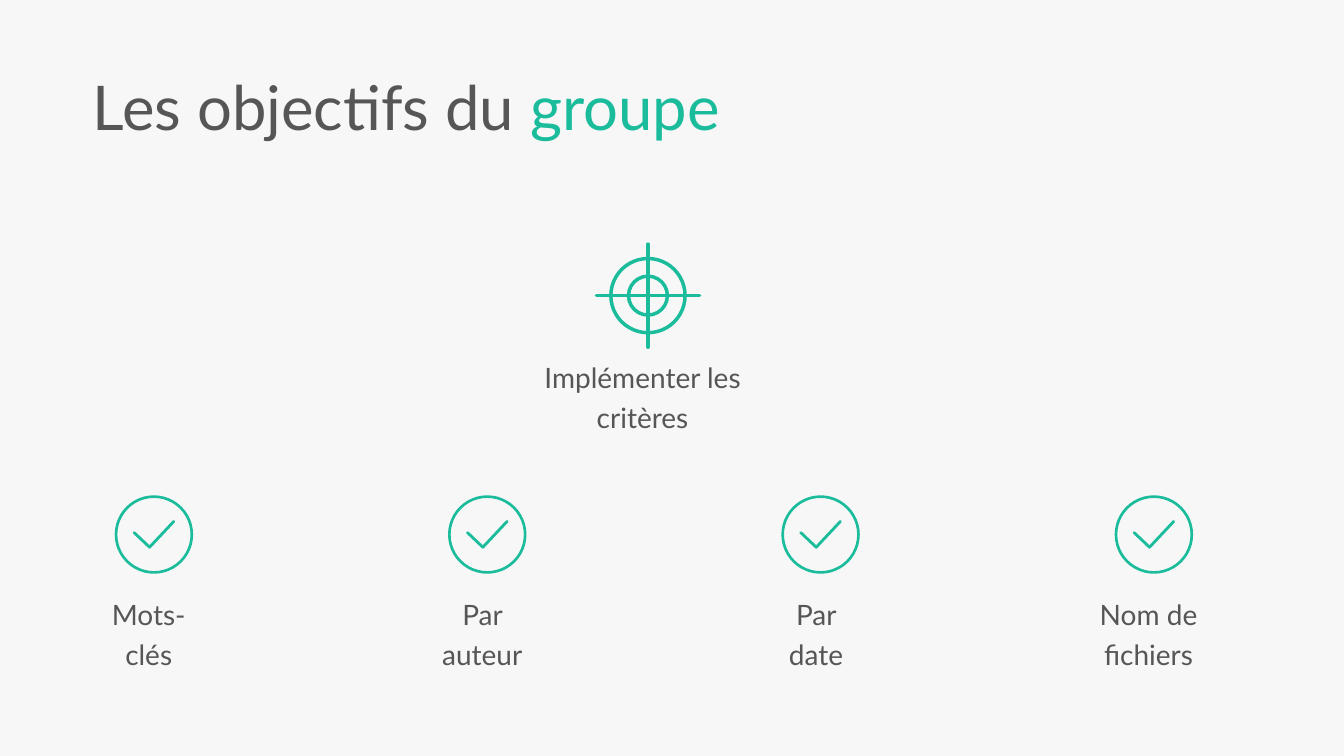
"""Build the slide of group objectives: one target above four checked criteria."""
from lxml.etree import SubElement
from pptx import Presentation
from pptx.dml.color import RGBColor
from pptx.enum.shapes import MSO_CONNECTOR, MSO_SHAPE
from pptx.enum.text import MSO_ANCHOR, MSO_AUTO_SIZE, PP_ALIGN
from pptx.oxml.ns import qn
from pptx.util import Cm, Pt

GREEN = RGBColor(0x1A, 0xBC, 0x9C)
GREY = RGBColor(0x56, 0x56, 0x56)
PALE = RGBColor(0xF7, 0xF7, 0xF7)


def outline(shape, weight):
    """Give a shape or connector a round-capped green line and no shadow."""
    shape.line.color.rgb = GREEN
    shape.line.width = Pt(weight)
    shape.line._get_or_add_ln().set("cap", "rnd")
    properties = shape._element.spPr
    if properties.find(qn("a:effectLst")) is None:
        SubElement(properties, qn("a:effectLst"))


def add_ring(group, x, y, diameter, weight):
    """Add an unfilled circle centred on x, y."""
    ring = group.shapes.add_shape(
        MSO_SHAPE.OVAL, Cm(x - diameter / 2), Cm(y - diameter / 2), Cm(diameter), Cm(diameter))
    ring.fill.background()
    outline(ring, weight)


deck = Presentation()
deck.slide_width, deck.slide_height = Cm(33.87), Cm(19.05)
page = deck.slides.add_slide(deck.slide_layouts[5])
page.background.fill.solid()
page.background.fill.fore_color.rgb = PALE

title = page.shapes.title
title.left, title.top, title.width, title.height = Cm(2.34), Cm(1.83), Cm(22.38), Cm(1.96)
frame = title.text_frame
frame.auto_size = MSO_AUTO_SIZE.NONE
frame.vertical_anchor = MSO_ANCHOR.TOP
frame.margin_left = 0
para = frame.paragraphs[0]
para.alignment = PP_ALIGN.LEFT
para.line_spacing = 0.9
para.font.name, para.font.size = "Lato", Pt(44)
for words, color in (("Les objectifs du ", GREY), ("groupe", GREEN)):
    span = para.add_run()
    span.text = words
    span.font.color.rgb = color

target = page.shapes.add_group_shape()
target_x, target_y, reach = 16.33, 7.45, 1.3
for diameter in (1.87, 0.98):
    add_ring(target, target_x, target_y, diameter, 2.5)
for dx, dy in ((0, reach), (reach, 0)):
    hair = target.shapes.add_connector(
        MSO_CONNECTOR.STRAIGHT, Cm(target_x - dx), Cm(target_y - dy),
        Cm(target_x + dx), Cm(target_y + dy))
    outline(hair, 2.5)

labels = [(target, "Implémenter les critères", 12.65, 8.79, 7.34)]
criteria = [("Mots-clés", 2.34, 3.07), ("Par auteur", 10.64, 3.28),
            ("Par date", 19.33, 2.72), ("Nom de fichiers", 26.67, 4.8)]
check_y = 13.47
for index, (words, left, width) in enumerate(criteria):
    check_x = 3.88 + 8.4 * index
    criterion = page.shapes.add_group_shape()
    add_ring(criterion, check_x, check_y, 1.91, 1.9)
    tick = [(Cm(check_x + dx), Cm(check_y + dy))
            for dx, dy in ((-0.5, -0.05), (-0.11, 0.32), (0.5, -0.33))]
    builder = criterion.shapes.build_freeform(*tick[0])
    builder.add_line_segments(tick[1:], close=False)
    check = builder.convert_to_shape()
    check.fill.background()
    outline(check, 2)
    labels.append((criterion, words, left, 14.76, width))

for group, words, left, top, width in labels:
    box = group.shapes.add_textbox(Cm(left), Cm(top), Cm(width), Cm(1.22))
    frame = box.text_frame
    frame.word_wrap = True
    frame.margin_left = 0
    para = frame.paragraphs[0]
    para.text = words
    para.alignment = PP_ALIGN.CENTER
    para.line_spacing = 1.2
    para.font.name, para.font.size = "Lato", Pt(20)
    para.font.color.rgb = GREY

deck.save("out.pptx")
